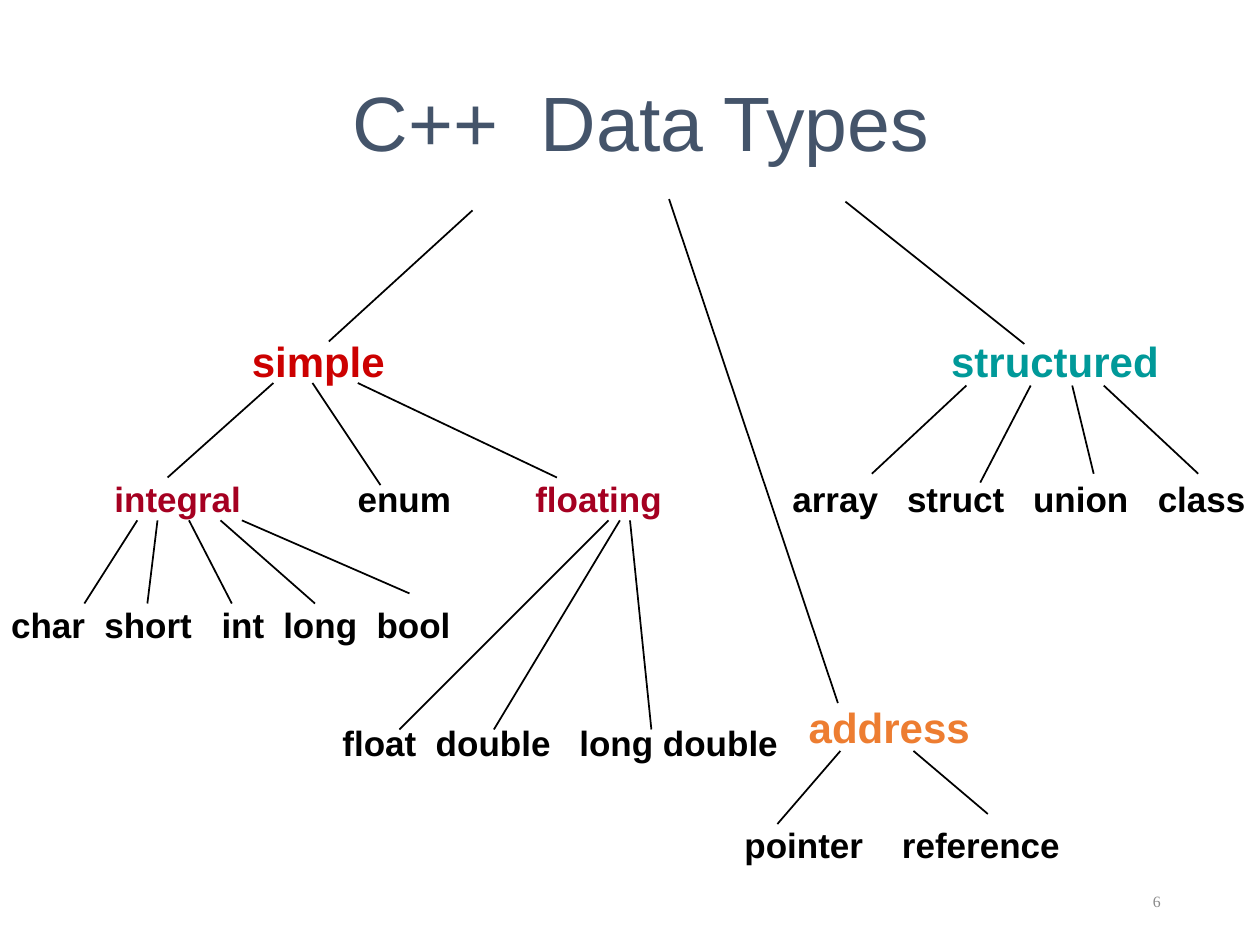
from lxml import etree
from pptx import Presentation
from pptx.dml.color import RGBColor
from pptx.enum.shapes import MSO_CONNECTOR
from pptx.enum.text import MSO_ANCHOR, PP_ALIGN
from pptx.oxml.ns import qn
from pptx.util import Inches, Pt

STRAIGHT = MSO_CONNECTOR.STRAIGHT
LEFT, CENTER, RIGHT = PP_ALIGN.LEFT, PP_ALIGN.CENTER, PP_ALIGN.RIGHT
TOP, MIDDLE = MSO_ANCHOR.TOP, MSO_ANCHOR.MIDDLE

COLORS = {
    "title": "44546A",
    "simple": "CC0000",
    "structured": "009999",
    "address": "ED7D31",
    "group": "A50021",
    "black": "000000",
    "number": "898989",
}

TITLE = "C++  Data Types"
TITLE_BOX = (0.84, 0.33, 8.5, 1.25)
PAGE_NUMBER = "6"
PAGE_NUMBER_BOX = (7.06, 6.95, 2.25, 0.4)

CATEGORIES = [
    ("simple", (1.9, 2.61, 1.26, 0.5)),
    ("structured", (7.45, 2.61, 1.85, 0.5)),
    ("address", (6.32, 5.52, 1.48, 0.5)),
]

TYPE_ROWS = [
    ([("integral", "group"), ("enum", "black")], [1.93], (0.81, 3.74, 2.88, 0.43)),
    ([("floating", "group")], [], (4.15, 3.74, 1.21, 0.43)),
    ([(word, "black") for word in ("array", "struct", "union", "class")],
     [0.91, 1.91, 2.9], (6.19, 3.74, 3.81, 0.43)),
    ([(word, "black") for word in ("char", "short", "int", "long", "bool")],
     [0.74, 1.67, 2.16, 2.9], (-0.01, 4.74, 3.7, 0.43)),
    ([(word, "black") for word in ("float", "double", "long double")],
     [0.74, 1.88], (2.62, 5.68, 3.67, 0.43)),
    ([(word, "black") for word in ("pointer", "reference")],
     [1.25], (5.81, 6.49, 2.71, 0.43)),
]

BRANCHES = {
    "title": [((3.75, 1.67), (2.61, 2.71)), ((5.31, 1.58), (6.65, 5.58)),
              ((6.71, 1.6), (8.13, 2.73))],
    "simple": [((2.17, 3.04), (1.33, 3.79)), ((2.48, 3.04), (3.02, 3.85)),
               ((2.84, 3.04), (4.42, 3.79))],
    "structured": [((7.67, 3.06), (6.92, 3.76)), ((8.18, 3.06), (7.78, 3.83)),
                   ((8.51, 3.06), (8.68, 3.76)), ((8.76, 3.06), (9.51, 3.76))],
    "integral": [((1.09, 4.13), (0.67, 4.79)), ((1.25, 4.13), (1.17, 4.79)),
                 ((1.5, 4.13), (1.84, 4.79)), ((1.75, 4.13), (2.5, 4.79)),
                 ((1.92, 4.13), (3.25, 4.71))],
    "floating": [((4.83, 4.13), (3.17, 5.79)), ((4.92, 4.13), (3.92, 5.79)),
                 ((5, 4.13), (5.17, 5.79))],
    "address": [((6.67, 5.96), (6.17, 6.54)), ((7.25, 5.96), (7.84, 6.46))],
}


def write_text(shape, words, size, font="Arial", bold=False, align=LEFT,
               anchor=TOP, wrap=False, tab_stops=()):
    frame = shape.text_frame
    frame.word_wrap = wrap
    frame.vertical_anchor = anchor
    paragraph = frame.paragraphs[0]
    paragraph.alignment = align
    if tab_stops:
        tab_list = etree.SubElement(paragraph._p.get_or_add_pPr(), qn("a:tabLst"))
        for stop in tab_stops:
            etree.SubElement(tab_list, qn("a:tab"), pos=str(Inches(stop)), algn="l")
    for index, (word, color) in enumerate(words):
        run = paragraph.add_run()
        run.text = "\t" + word if index else word
        run.font.name = font
        run.font.size = Pt(size)
        run.font.bold = bold
        run.font.color.rgb = RGBColor.from_string(COLORS[color])


def add_label(slide, box, words, size, **text_format):
    shape = slide.shapes.add_textbox(*map(Inches, box))
    write_text(shape, words, size, **text_format)


def add_branch(slide, start, end):
    connector = slide.shapes.add_connector(STRAIGHT, *map(Inches, start + end))
    connector.line.color.rgb = RGBColor.from_string(COLORS["black"])
    connector.line.width = Pt(1)
    etree.SubElement(connector._element.spPr, qn("a:effectLst"))


def main():
    presentation = Presentation()
    presentation.slide_width = Inches(10)
    presentation.slide_height = Inches(7.5)
    slide = presentation.slides.add_slide(presentation.slide_layouts[5])

    title = slide.shapes.title
    title.left, title.top, title.width, title.height = map(Inches, TITLE_BOX)
    write_text(title, [(TITLE, "title")], 44, align=CENTER, anchor=MIDDLE, wrap=True)

    for lines in BRANCHES.values():
        for start, end in lines:
            add_branch(slide, start, end)
    for name, box in CATEGORIES:
        add_label(slide, box, [(name, name)], 24, bold=True)
    for words, tab_stops, box in TYPE_ROWS:
        add_label(slide, box, words, 20, bold=True, tab_stops=tab_stops)
    add_label(slide, PAGE_NUMBER_BOX, [(PAGE_NUMBER, "number")], 9,
              font="Times New Roman", align=RIGHT, anchor=MIDDLE, wrap=True)

    presentation.save("out.pptx")


if __name__ == "__main__":
    main()
